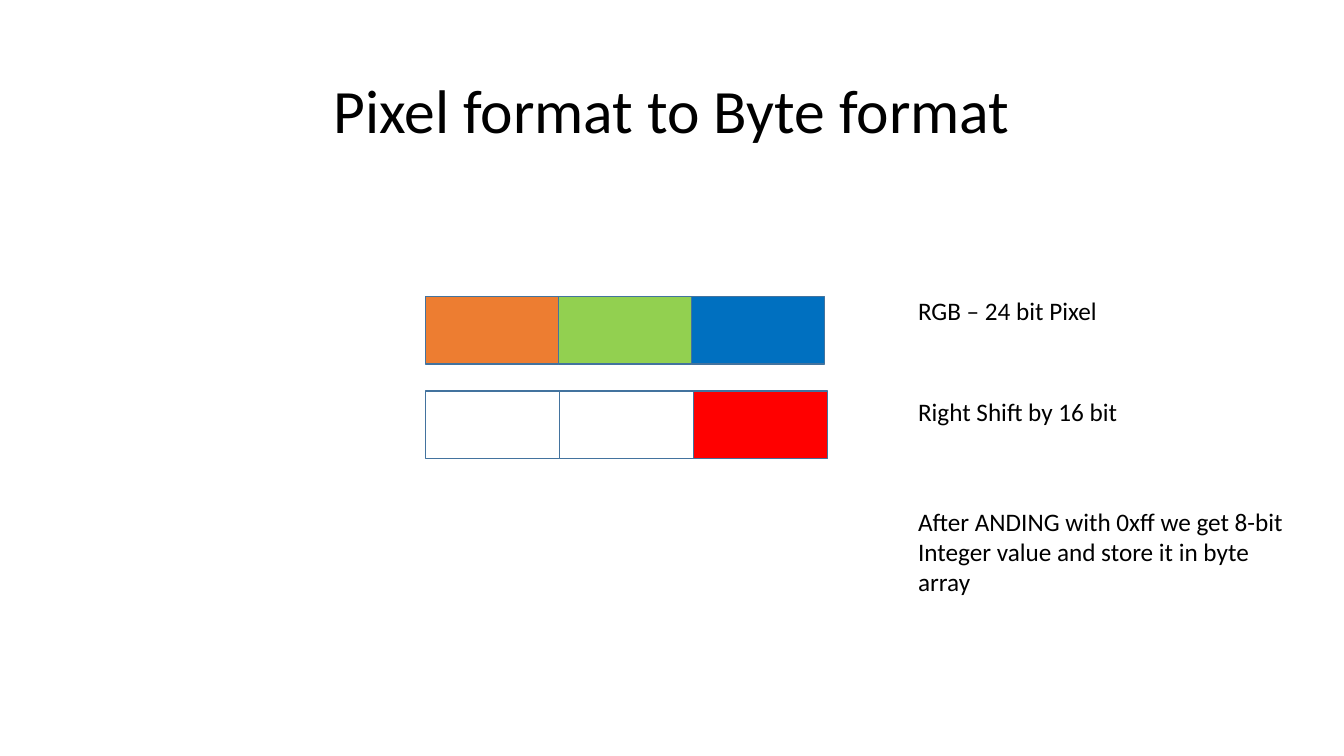
from dataclasses import dataclass
from typing import Optional

from pptx import Presentation
from pptx.dml.color import RGBColor
from pptx.enum import shapes, text
from pptx.slide import Slide
from pptx.util import Pt

BLACK = RGBColor(0x00, 0x00, 0x00)
WHITE = RGBColor(0xFF, 0xFF, 0xFF)
ORANGE = RGBColor(0xED, 0x7D, 0x31)
GREEN = RGBColor(0x92, 0xD0, 0x50)
BLUE = RGBColor(0x00, 0x70, 0xC0)
RED = RGBColor(0xFF, 0x00, 0x00)
OUTLINE = RGBColor(0x43, 0x73, 0x9E)

FONT = "Calibri"
PIXEL_LEFT = 303.84
BYTE_HEIGHT = 48.24
LABEL_LEFT = 648.72


@dataclass(frozen=True)
class PixelRow:
    top: float
    byte_width: float
    fills: tuple[Optional[RGBColor], ...]


@dataclass(frozen=True)
class Label:
    wording: str
    left: float
    top: float
    width: float
    height: float
    size: float = 18
    is_title: bool = False


PIXEL_ROWS = (
    PixelRow(211.68, 95.04, (ORANGE, GREEN, BLUE)),
    PixelRow(279.36, 95.76, (None, WHITE, RED)),
)

LABELS = (
    Label("Pixel format to Byte format", 66, 28.75, 828, 104.4, 44, True),
    Label("RGB – 24 bit Pixel", LABEL_LEFT, 207.36, 158.4, 29.08),
    Label("Right Shift by 16 bit", LABEL_LEFT, 279.36, 158.4, 29.08),
    Label(
        "After ANDING with 0xff we get 8-bit Integer value and store it in byte array",
        LABEL_LEFT, 357.84, 279.36, 72.72,
    ),
)


def draw_pixel_row(slide: Slide, row: PixelRow) -> None:
    for index, fill in enumerate(row.fills):
        shape = slide.shapes.add_shape(
            shapes.MSO_SHAPE.RECTANGLE,
            Pt(PIXEL_LEFT + index * row.byte_width),
            Pt(row.top),
            Pt(row.byte_width),
            Pt(BYTE_HEIGHT),
        )
        shape.shadow.inherit = False
        shape.line.color.rgb = OUTLINE
        shape.line.width = Pt(1)
        if fill is None:
            shape.fill.background()
        else:
            shape.fill.solid()
            shape.fill.fore_color.rgb = fill


def draw_label(slide: Slide, label: Label) -> None:
    shape = slide.shapes.add_textbox(
        Pt(label.left), Pt(label.top), Pt(label.width), Pt(label.height)
    )
    frame = shape.text_frame
    frame.word_wrap = True
    paragraph = frame.paragraphs[0]
    if label.is_title:
        frame.vertical_anchor = text.MSO_ANCHOR.MIDDLE
        paragraph.alignment = text.PP_ALIGN.CENTER
        paragraph.line_spacing = 0.9
    else:
        frame.auto_size = text.MSO_AUTO_SIZE.SHAPE_TO_FIT_TEXT
    run = paragraph.add_run()
    run.text = label.wording
    run.font.name = FONT
    run.font.size = Pt(label.size)
    run.font.color.rgb = BLACK


def main() -> None:
    presentation = Presentation()
    presentation.slide_width = Pt(960)
    presentation.slide_height = Pt(540)
    slide = presentation.slides.add_slide(presentation.slide_layouts[6])
    for row in PIXEL_ROWS:
        draw_pixel_row(slide, row)
    for label in LABELS:
        draw_label(slide, label)
    presentation.save("out.pptx")


if __name__ == "__main__":
    main()
